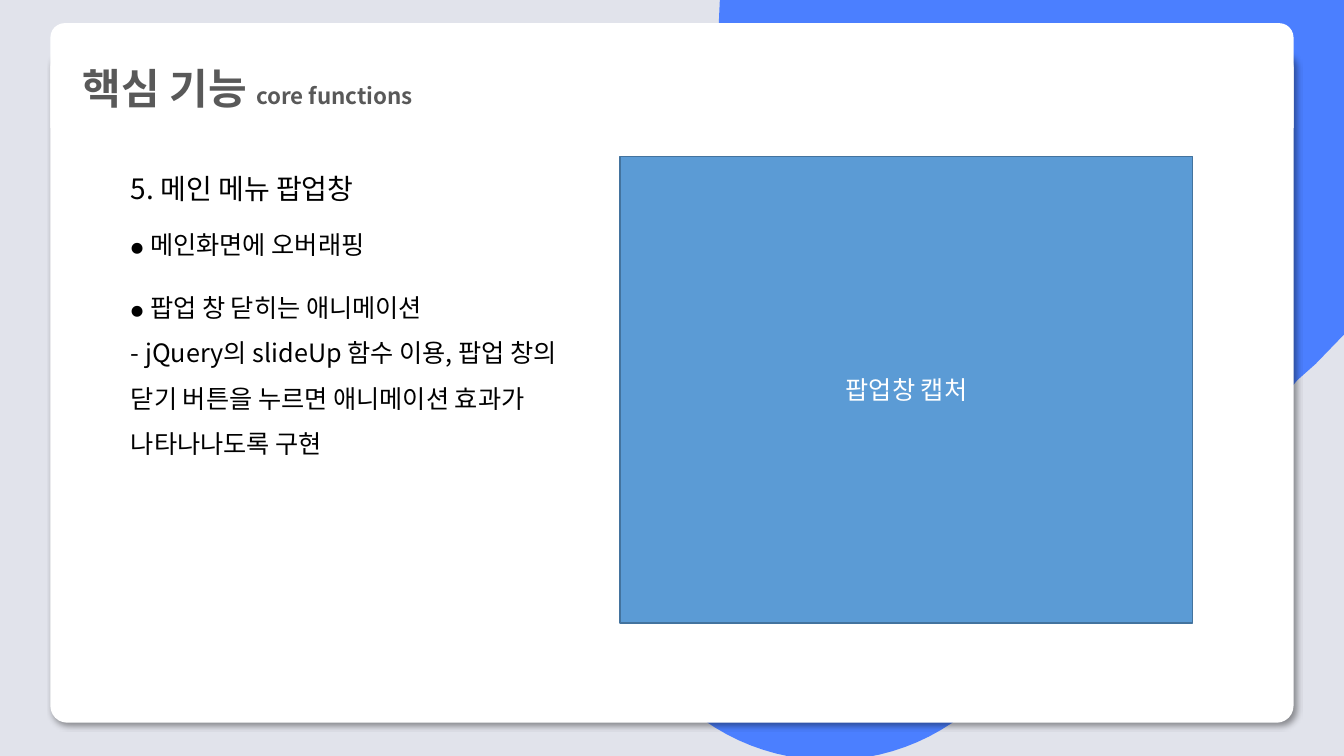
import pptx
import pptx.util
import pptx.dml.color
import pptx.enum.shapes
import pptx.enum.text
import pptx.oxml
import pptx.oxml.ns
from pptx.util import Inches

FONT = "Noto Sans CJK KR"
COLORS = {
    "background": "E1E3EB", "accent": "4B7FFF", "card": "FFFFFF",
    "title": "595959", "text": "000000", "capture": "5B9BD5",
    "capture_line": "43739E", "capture_text": "FFFFFF",
}
TITLE_RUNS = [("핵심 기능 ", 30), ("core functions", 16)]
# box (left, top, width, height), text size, line spacing, [(bulleted, text)]
TEXT_BOXES = [
    ((1.2, 1.65, 2.84, 0.44), 20, 1.0, [(False, "5. 메인 메뉴 팝업창")]),
    ((1.2, 2.08, 4.49, 0.97), 18, 1.5, [(True, "메인화면에 오버래핑")]),
    ((1.2, 2.7, 4.63, 2.34), 18, 1.5, [
        (True, "팝업 창 닫히는 애니메이션"),
        (False, "- jQuery의 slideUp 함수 이용, 팝업 창의 닫기 버튼을 누르면 "
                "애니메이션 효과가 나타나나도록 구현"),
    ]),
]
CAPTURE_BOX, CAPTURE_TEXT = (6.15, 1.55, 5.68, 4.63), "팝업창 캡처"
CARD_BOX, HEADER_BOX = (0.5, 0.5, 12.33, 6.67), (0.5, 0.23, 12.33, 1.04)
# Each step is one point (line) or three points (Bezier curve)
ACCENT_START = (13.33, 0)
ACCENT_STEPS = [
    [(13.33, 3.32)], [(13.05, 3.61)], [(12.87, 3.77)], [(12.82, 3.83)],
    [(12.78, 3.89), (12.73, 3.94), (12.67, 4)], [(9.76, 6.91)],
    [(8.97, 7.7), (7.72, 7.75), (6.87, 7.06)], [(6.7, 6.91)], [(6.55, 6.75)],
    [(5.86, 5.9), (5.91, 4.64), (6.7, 3.85)], [(8.21, 2.35)], [(7.87, 2.01)],
    [(7.38, 1.51), (7.13, 0.86), (7.13, 0.22)], [(7.14, 0)],
]
CURVE_SEGMENTS = 24


def rgb(name):
    return pptx.dml.color.RGBColor.from_string(COLORS[name])


def outline_points(start, steps):
    """Flatten lines and Bezier curves into a list of points."""
    points = [start]
    for step in steps:
        if len(step) == 1:
            points += step
            continue
        controls = [points[-1], *step]
        for index in range(1, CURVE_SEGMENTS + 1):
            t = index / CURVE_SEGMENTS
            weights = ((1 - t) ** 3, 3 * t * (1 - t) ** 2, 3 * t * t * (1 - t), t ** 3)
            points.append(tuple(sum(w * c[axis] for w, c in zip(weights, controls))
                                for axis in (0, 1)))
    return points


def paint(shape, fill, line=None):
    shape.shadow.inherit = False
    shape.fill.solid()
    shape.fill.fore_color.rgb = rgb(fill)
    if line:
        shape.line.color.rgb = rgb(line)
        shape.line.width = pptx.util.Pt(1)
    else:
        shape.line.fill.background()


def add_box(slide, kind, box, fill, line=None):
    shape = slide.shapes.add_shape(kind, *map(Inches, box))
    paint(shape, fill, line)
    return shape


def style_run(run, size, color, bold=False):
    run.font.size = pptx.util.Pt(size)
    run.font.bold = bold
    run.font.color.rgb = rgb(color)
    run.font.name = FONT
    east_asian = pptx.oxml.parse_xml(
        f'<a:ea {pptx.oxml.ns.nsdecls("a")} typeface="{FONT}"/>')
    run.font._element.find(pptx.oxml.ns.qn("a:latin")).addnext(east_asian)


def add_bullet(paragraph):
    properties = paragraph._p.get_or_add_pPr()
    indent = Inches(0.19)
    properties.set("marL", str(indent))
    properties.set("indent", str(-indent))
    namespace = pptx.oxml.ns.nsdecls("a")
    for xml in (f'<a:buFont {namespace} typeface="{FONT}"/>',
                f'<a:buChar {namespace} char="⦁"/>'):
        properties.append(pptx.oxml.parse_xml(xml))


def add_shadow(shape):
    effects = shape._element.spPr.find(pptx.oxml.ns.qn("a:effectLst"))
    effects.append(pptx.oxml.parse_xml(
        f'<a:outerShdw {pptx.oxml.ns.nsdecls("a")} blurRad="{pptx.util.Pt(4)}" '
        f'dist="{pptx.util.Pt(3)}" dir="2700000" algn="tl" rotWithShape="0">'
        '<a:srgbClr val="000000"><a:alpha val="40000"/></a:srgbClr></a:outerShdw>'))


def add_background(slide):
    slide.background.fill.solid()
    slide.background.fill.fore_color.rgb = rgb("background")
    points = [(Inches(x), Inches(y)) for x, y in outline_points(ACCENT_START, ACCENT_STEPS)]
    builder = slide.shapes.build_freeform(*points[0])
    builder.add_line_segments(points[1:], close=True)
    paint(builder.convert_to_shape(), "accent")

    kinds = pptx.enum.shapes.MSO_SHAPE
    card = add_box(slide, kinds.ROUNDED_RECTANGLE, CARD_BOX, "card")
    card.adjustments[0] = 0.025
    add_shadow(card)
    header = add_box(slide, kinds.ROUND_2_SAME_RECTANGLE, HEADER_BOX, "card")
    header.adjustments[0] = 0.137
    header.adjustments[1] = 0


def fill_title(slide):
    title = slide.shapes.title
    title.left, title.top, title.width, title.height = map(Inches, HEADER_BOX)
    frame = title.text_frame
    frame.auto_size = pptx.enum.text.MSO_AUTO_SIZE.NONE
    frame.vertical_anchor = pptx.enum.text.MSO_ANCHOR.MIDDLE
    frame.margin_left = Inches(0.32)
    paragraph = frame.paragraphs[0]
    paragraph.alignment = pptx.enum.text.PP_ALIGN.LEFT
    paragraph.line_spacing = 1.5
    for text, size in TITLE_RUNS:
        run = paragraph.add_run()
        run.text = text
        style_run(run, size, "title", bold=True)
    title.element.getparent().append(title.element)  # in front of the header


def add_text(slide, box, size, spacing, lines):
    frame = slide.shapes.add_textbox(*map(Inches, box)).text_frame
    frame.word_wrap = True
    frame.text = "\n".join(text for _, text in lines)
    for paragraph, (bulleted, _) in zip(frame.paragraphs, lines):
        paragraph.line_spacing = spacing
        if bulleted:
            add_bullet(paragraph)
        style_run(paragraph.runs[0], size, "text")


def add_capture(slide):
    capture = add_box(slide, pptx.enum.shapes.MSO_SHAPE.RECTANGLE, CAPTURE_BOX,
                      "capture", "capture_line")
    frame = capture.text_frame
    frame.text = CAPTURE_TEXT
    frame.vertical_anchor = pptx.enum.text.MSO_ANCHOR.MIDDLE
    frame.paragraphs[0].alignment = pptx.enum.text.PP_ALIGN.CENTER
    style_run(frame.paragraphs[0].runs[0], 18, "capture_text")


def main():
    presentation = pptx.Presentation()
    presentation.slide_width = Inches(13.33)
    presentation.slide_height = Inches(7.5)
    slide = presentation.slides.add_slide(presentation.slide_layouts[5])
    add_background(slide)
    fill_title(slide)
    for text_box in TEXT_BOXES:
        add_text(slide, *text_box)
    add_capture(slide)
    presentation.save("out.pptx")


if __name__ == "__main__":
    main()
